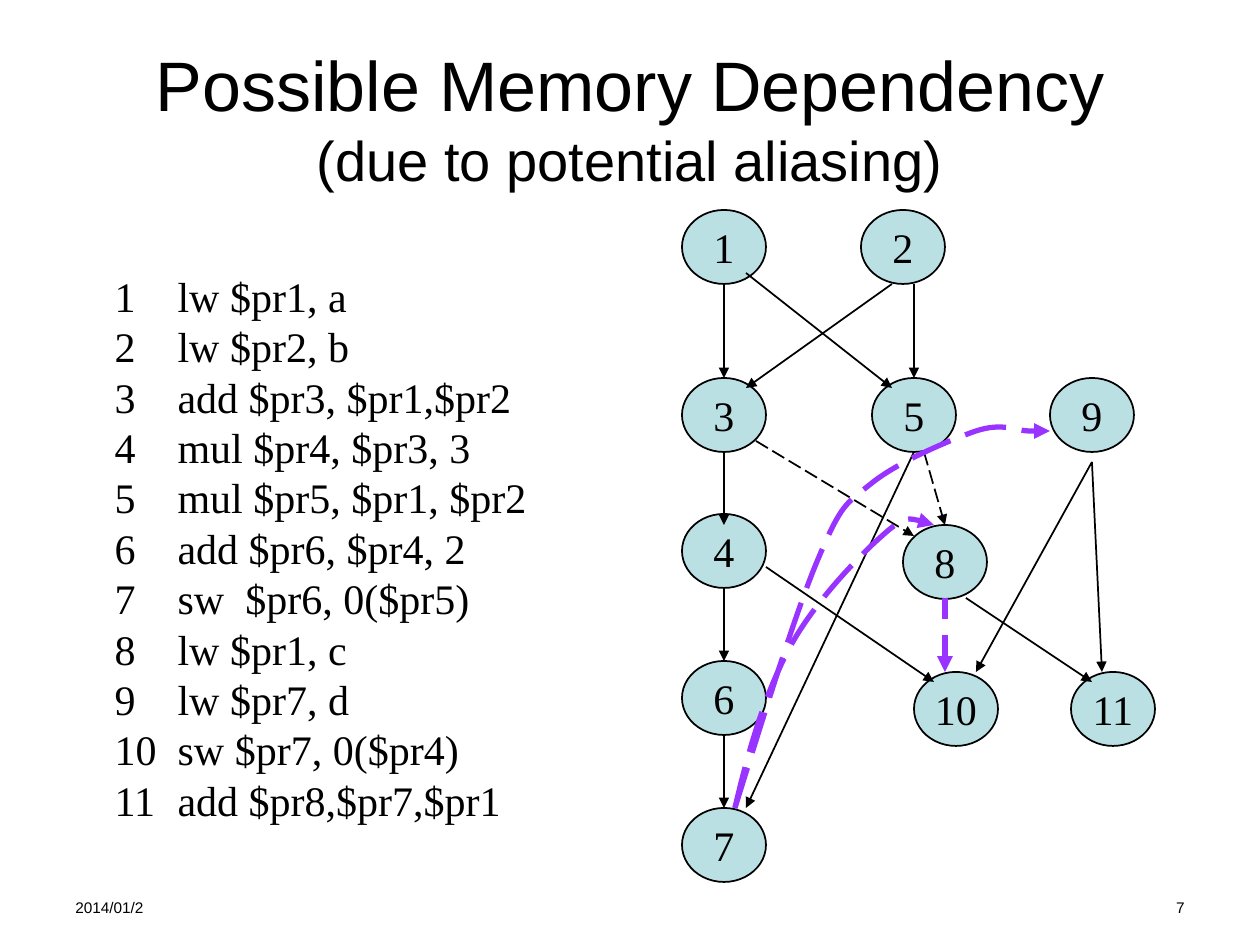
from lxml import etree
from pptx import Presentation, util as u
from pptx.dml.color import RGBColor
from pptx.enum import dml, shapes, text
from pptx.oxml.ns import qn

SCALE = 914400 // 126
COLORS = {"ink": "000000", "node": "BBE0E3", "alias": "9933FF"}
SANS, SERIF = "Arial", "Times New Roman"
DASH = dml.MSO_LINE.DASH
LONG_DASH = dml.MSO_LINE.LONG_DASH
LEFT, CENTER, RIGHT = text.PP_ALIGN.LEFT, text.PP_ALIGN.CENTER, text.PP_ALIGN.RIGHT
NODE_W, NODE_H = 84, 74


def color(name):
    return RGBColor.from_string(COLORS[name])


class Board:
    """Holds the style and the slide, and draws each kind of element on it."""

    def __init__(self, deck):
        self.page = deck.slides.add_slide(deck.slide_layouts[1])

    def place(self, box, *area):
        box.left, box.top, box.width, box.height = (v * SCALE for v in area)

    def format(self, box, font, size, align, anchor, wrap=True):
        frame = box.text_frame
        frame.auto_size = text.MSO_AUTO_SIZE.NONE
        frame.word_wrap = wrap
        frame.vertical_anchor = anchor
        for para in frame.paragraphs:
            para.alignment = align
            for span in para.runs:
                span.font.name, span.font.size = font, u.Pt(size)
                span.font.color.rgb = color("ink")

    def title(self, main, detail, *area):
        box = self.page.shapes.title
        self.place(box, *area)
        box.text_frame.text = main + "\v" + detail
        self.format(box, SANS, 40, CENTER, text.MSO_ANCHOR.MIDDLE)
        box.text_frame.paragraphs[0].runs[1].font.size = u.Pt(32)

    def listing(self, typed, numbered, *area):
        box = self.page.placeholders[1]
        self.place(box, *area)
        lines = [f"{i}\t{line}" for i, line in enumerate(typed, 1)] + numbered
        box.text_frame.text = "\n".join(lines)
        self.format(box, SERIF, 24, LEFT, text.MSO_ANCHOR.TOP, wrap=False)
        for i, para in enumerate(box.text_frame.paragraphs):
            para.space_before = u.Pt(0)
            para.line_spacing = u.Pt(28.8)
            props = para._p.get_or_add_pPr()
            props.set("marL", str(63 * SCALE))
            props.set("indent", str(-63 * SCALE))
            if i < len(typed):
                etree.SubElement(props, qn("a:buNone"))
            else:
                etree.SubElement(props, qn("a:buFontTx"))
                etree.SubElement(props, qn("a:buAutoNum"), type="arabicPlain", startAt=str(len(typed) + 1))

    def label(self, words, align, *area):
        box = self.page.shapes.add_textbox(*(v * SCALE for v in area))
        box.text_frame.text = words
        self.format(box, SANS, 8.8, align, text.MSO_ANCHOR.TOP)

    def node(self, number, left, top):
        area = (v * SCALE for v in (left, top, NODE_W, NODE_H))
        oval = self.page.shapes.add_shape(shapes.MSO_SHAPE.OVAL, *area)
        oval.shadow.inherit = False
        oval.fill.solid()
        oval.fill.fore_color.rgb = color("node")
        oval.line.color.rgb = color("ink")
        oval.line.width = u.Pt(1)
        oval.text_frame.text = str(number)
        self.format(oval, SERIF, 24, CENTER, text.MSO_ANCHOR.MIDDLE, wrap=False)

    def stroke(self, shape, ink, width, dash):
        shape.line.color.rgb = color(ink)
        shape.line.width = u.Pt(width)
        if dash:
            shape.line.dash_style = dash
        etree.SubElement(shape.line._get_or_add_ln(), qn("a:tailEnd"), type="triangle")

    def arrow(self, x1, y1, x2, y2, dash=None, ink="ink", width=1):
        ends = (v * SCALE for v in (x1, y1, x2, y2))
        line = self.page.shapes.add_connector(shapes.MSO_CONNECTOR.STRAIGHT, *ends)
        self.stroke(line, ink, width, dash)
        etree.SubElement(line._element.spPr, qn("a:effectLst"))

    def curve(self, start, *controls):
        builder = self.page.shapes.build_freeform(*start, scale=SCALE)
        builder.add_line_segments(controls, close=False)
        shape = builder.convert_to_shape()
        shape.shadow.inherit = False
        shape.fill.background()
        self.stroke(shape, "alias", 3, LONG_DASH)
        outline = shape._element.find(".//" + qn("a:path"))
        segments = outline.findall(qn("a:lnTo"))
        for i in range(0, len(segments), 3):
            bend = etree.SubElement(outline, qn("a:cubicBezTo"))
            for segment in segments[i:i + 3]:
                bend.append(segment[0])
                outline.remove(segment)


deck = Presentation()
deck.slide_width, deck.slide_height = u.Inches(10), u.Inches(7.5)
board = Board(deck)

board.label("2014/01/2", LEFT, 63, 892, 294, 34)
board.label("7", RIGHT, 903, 892, 294, 34)
board.title("Possible Memory Dependency", "(due to potential aliasing)", 63, 38, 1134, 158)
board.listing(
    ["lw $pr1, a", "lw $pr2, b", "add $pr3, $pr1,$pr2", "mul $pr4, $pr3, 3", "mul $pr5, $pr1, $pr2"],
    ["add $pr6, $pr4, 2", "sw  $pr6, 0($pr5)", "lw $pr1, c", "lw $pr7, d", "sw $pr7, 0($pr4)", "add $pr8,$pr7,$pr1"],
    102, 264, 563, 567)

NODES = {1: (682, 210), 2: (861, 210), 3: (682, 378), 4: (682, 514), 5: (872, 378), 6: (682, 661),
         7: (682, 808), 8: (903, 525), 9: (1050, 378), 10: (914, 672), 11: (1071, 672)}
for number, corner in NODES.items():
    board.node(number, *corner)

for ends in [(724, 284, 724, 378), (892, 284, 746, 388), (746, 273, 892, 388), (914, 284, 914, 378),
             (724, 452, 724, 525), (724, 588, 724, 661), (724, 735, 724, 808), (914, 452, 746, 808),
             (766, 567, 934, 682), (1092, 462, 976, 672), (966, 598, 1092, 682), (1092, 462, 1102, 672)]:
    board.arrow(*ends)
for ends in [(924, 452, 945, 525), (756, 441, 914, 536)]:
    board.arrow(*ends, dash=LONG_DASH)

board.curve((735, 808), (748, 752), (764, 697), (788, 651), (811, 606), (858, 557), (882, 536),
            (906, 514), (921, 520), (934, 525))
board.curve((735, 808), (766, 709), (796, 611), (819, 557), (842, 503), (846, 504), (872, 483),
            (898, 462), (950, 440), (976, 431), (1003, 422), (1017, 431), (1029, 431),
            (1041, 431), (1046, 431), (1050, 431))
board.arrow(945, 598, 945, 672, dash=DASH, ink="alias", width=3)

deck.save("out.pptx")
